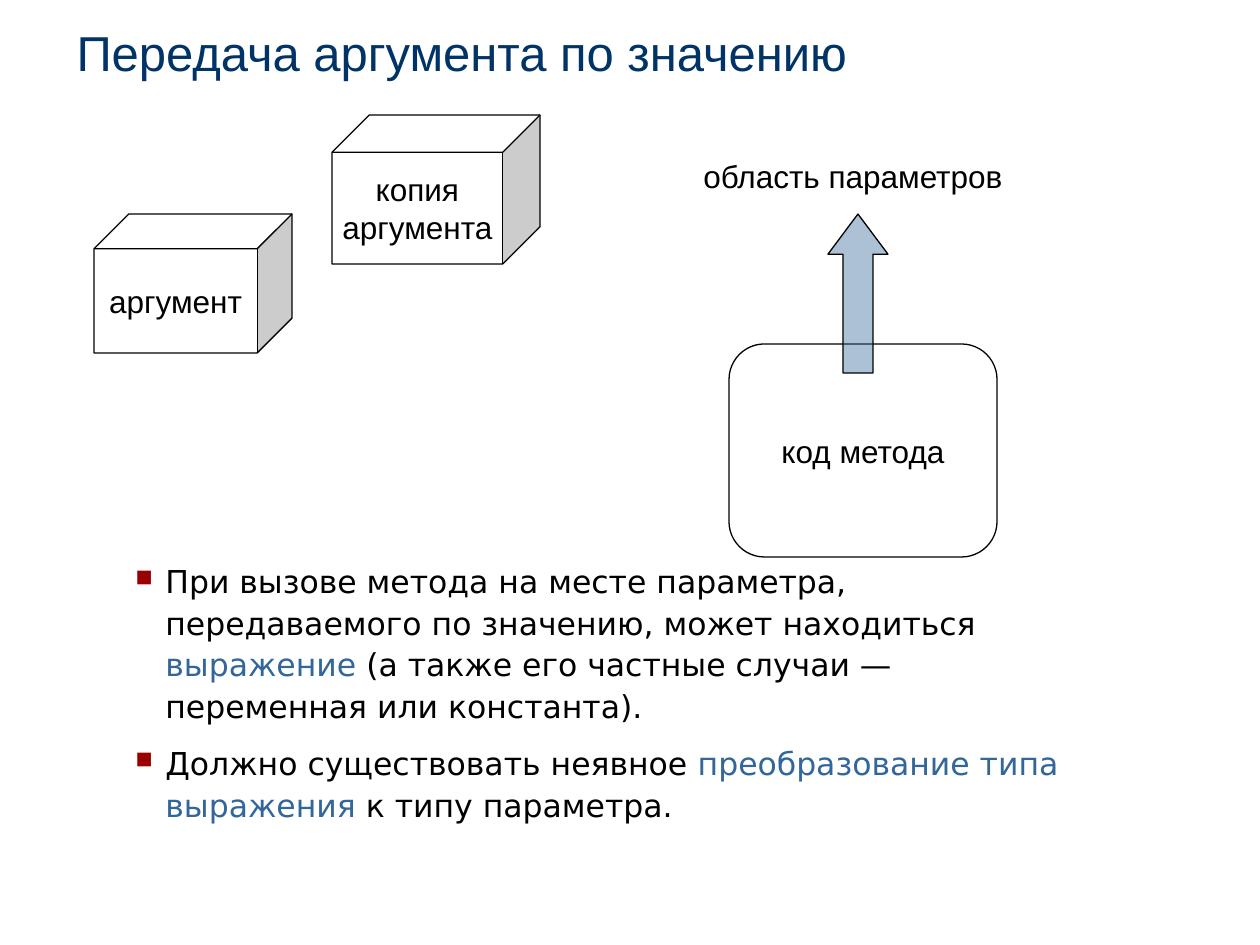
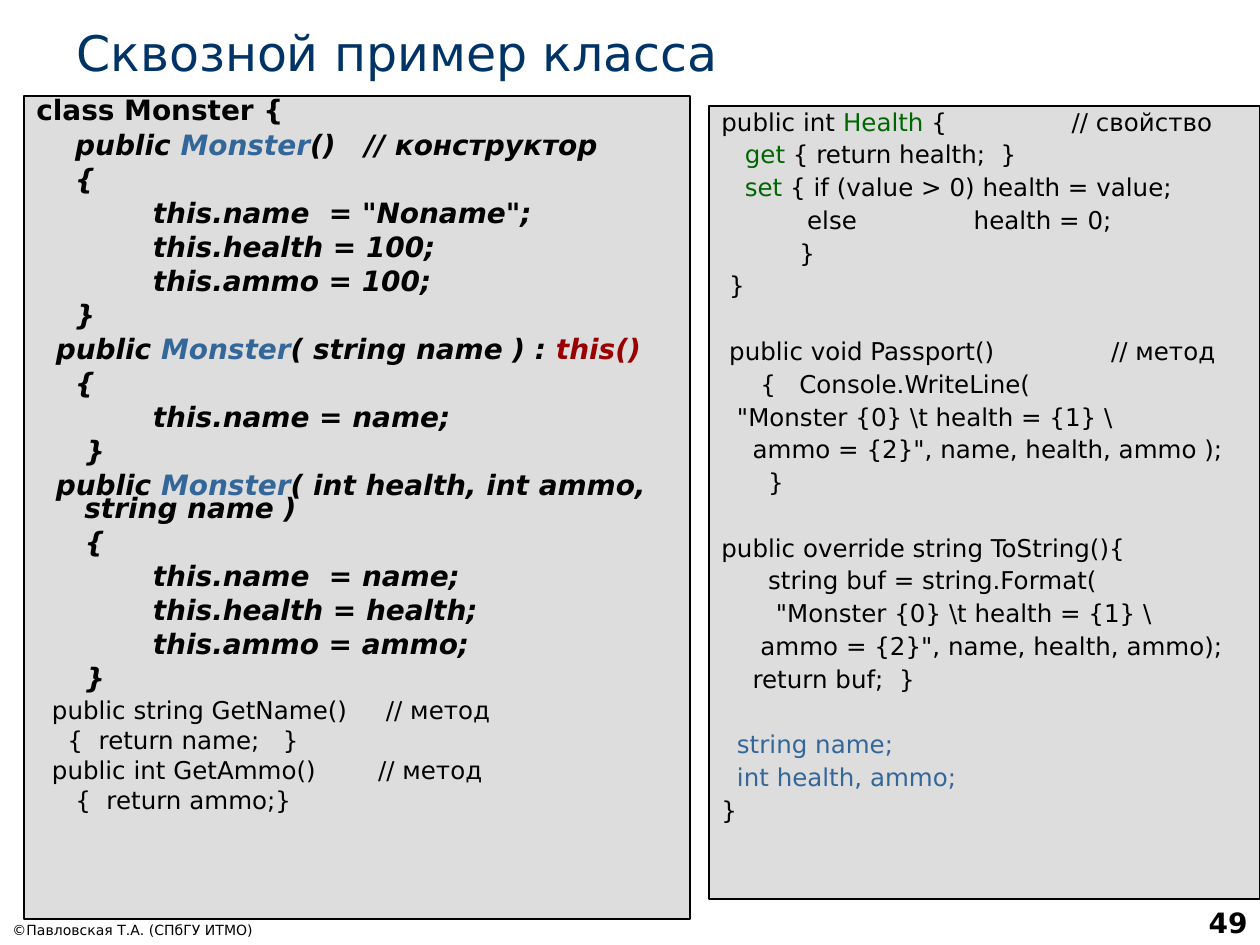
from lxml.etree import SubElement
from pptx import Presentation
from pptx.dml.color import RGBColor
from pptx.enum.shapes import MSO_SHAPE
from pptx.enum.text import MSO_ANCHOR, MSO_AUTO_SIZE, PP_ALIGN
from pptx.oxml.ns import qn
from pptx.util import Emu, Pt

PX_PER_INCH = 126
BLACK, WHITE, GREY = "000000", "FFFFFF", "DDDDDD"
NAVY, BLUE, RED, GREEN = "003366", "336699", "9A0000", "006600"
ARIAL, DEJAVU = "Arial", "DejaVu Sans"


def px(length):
    return Emu(round(length * 914400 / PX_PER_INCH))


def rgb(code):
    return RGBColor.from_string(code)


def add_bullet(paragraph):
    props = paragraph._p.get_or_add_pPr()
    tint = SubElement(props, qn("a:buClr"))
    SubElement(tint, qn("a:srgbClr"), val=RED)
    SubElement(props, qn("a:buSzPct"), val="75000")
    SubElement(props, qn("a:buChar"), char="■")


def write(frame, lines, size=18, font=DEJAVU, color=BLACK, bold=False, italic=False,
          align=PP_ALIGN.LEFT, spacing=1.0, before=0, after=0, lead=None,
          hanging=0, bullet=False):
    for index, line in enumerate(lines):
        first = len(frame.paragraphs) == 1 and not frame.paragraphs[0].runs
        paragraph = frame.paragraphs[0] if first else frame.add_paragraph()
        paragraph.alignment = align
        paragraph.line_spacing = spacing
        gap = lead if lead and index == 0 else before
        paragraph.space_before = Pt(0 if first else gap)
        paragraph.space_after = Pt(after)
        if hanging:
            props = paragraph._p.get_or_add_pPr()
            props.set("marL", str(px(hanging)))
            props.set("indent", str(-px(hanging)))
        if bullet:
            add_bullet(paragraph)
        for part in [line] if isinstance(line, str) else line:
            words, tint = (part, color) if isinstance(part, str) else part
            run = paragraph.add_run()
            run.text = words
            run.font.name = font
            run.font.size = Pt(size)
            run.font.bold = bold
            run.font.italic = italic
            run.font.color.rgb = rgb(tint)


class Deck:
    def __init__(self):
        self.show = Presentation()
        self.show.slide_width = px(1260)
        self.show.slide_height = px(945)
        self.slide = None

    def start(self, heading, font):
        self.slide = self.show.slides.add_slide(self.show.slide_layouts[5])
        title = self.slide.shapes.title
        title.left, title.top, title.width, title.height = map(px, (64, 16, 1181, 72))
        frame = title.text_frame
        frame.auto_size = MSO_AUTO_SIZE.NONE
        frame.vertical_anchor = MSO_ANCHOR.BOTTOM
        write(frame, [heading], size=28, font=font, color=NAVY)

    def shape(self, kind, box, fill=WHITE, line=BLACK, alpha=None):
        figure = self.slide.shapes.add_shape(kind, *map(px, box))
        figure.shadow.inherit = False
        figure.fill.solid()
        figure.fill.fore_color.rgb = rgb(fill)
        if alpha:
            tint = figure.fill._xPr.find(".//" + qn("a:srgbClr"))
            SubElement(tint, qn("a:alpha"), val=str(alpha * 1000))
        if line:
            figure.line.color.rgb = rgb(line)
            figure.line.width = Pt(0.75)
        else:
            figure.line.fill.background()
        return figure

    def label(self, kind, box, lines, line=BLACK):
        frame = self.shape(kind, box, line=line).text_frame
        frame.word_wrap = False
        frame.vertical_anchor = MSO_ANCHOR.MIDDLE
        write(frame, lines, font=ARIAL, align=PP_ALIGN.CENTER)

    def text(self, box, lines, anchor=MSO_ANCHOR.TOP, **style):
        frame = self.slide.shapes.add_textbox(*map(px, box)).text_frame
        frame.word_wrap = True
        frame.vertical_anchor = anchor
        write(frame, lines, **style)

    def footer(self, author, number):
        self.text((0, 910, 392, 35), [author], MSO_ANCHOR.BOTTOM, size=8)
        self.text((998, 882, 262, 63), [number], MSO_ANCHOR.BOTTOM,
                  size=16, bold=True, align=PP_ALIGN.RIGHT)

    def code(self, box, blocks):
        frame = self.shape(MSO_SHAPE.RECTANGLE, box, fill=GREY).text_frame
        frame.word_wrap = True
        frame.vertical_anchor = MSO_ANCHOR.TOP
        for lines, style in blocks:
            write(frame, lines, hanging=48, **style)


def argument_slide(deck):
    deck.start("Передача аргумента по значению", ARIAL)
    deck.label(MSO_SHAPE.ROUNDED_RECTANGLE, (729, 344, 268, 213), ["код метода"])
    deck.label(MSO_SHAPE.RECTANGLE, (620, 86, 466, 179), ["область параметров"], line=None)
    deck.label(MSO_SHAPE.CUBE, (94, 214, 198, 139), ["аргумент"])
    deck.label(MSO_SHAPE.CUBE, (332, 115, 208, 149), ["копия", "аргумента"])
    rules = [
        ["При вызове метода на месте параметра, передаваемого по значению, может находиться ",
         ("выражение ", BLUE),
         "(а также его частные случаи — переменная или константа)."],
        ["Должно существовать неявное ", ("преобразование типа выражения", BLUE),
         " к типу параметра."],
    ]
    deck.text((123, 552, 973, 237), rules, spacing=1.1, before=4.5, after=4.5,
              hanging=30, bullet=True)
    arrow = deck.shape(MSO_SHAPE.UP_ARROW, (828, 214, 60, 159), fill=BLUE, alpha=40)
    arrow.adjustments[0] = 0.5
    arrow.adjustments[1] = 0.67


def class_slide(deck):
    deck.start("Сквозной пример класса", DEJAVU)
    deck.footer("©Павловская Т.А. (СПбГУ ИТМО)", "49")
    name = ("Monster", BLUE)
    constructors = [
        ["    public ", name, "()   // конструктор"],
        "    {",
        '            this.name  = "Noname";',
        "            this.health = 100;",
        "            this.ammo = 100;",
        "    }",
        ["  public ", name, "( string name ) : ", ("this()", RED)],
        "    {",
        "            this.name = name;",
        "     }",
        ["  public ", name, "( int health, int ammo, string name )"],
        "     {",
        "            this.name  = name;",
        "            this.health = health;",
        "            this.ammo = ammo;",
        "     }",
    ]
    getters = [
        "  public string GetName()     // метод",
        "    {  return name;   }",
        "  public int GetAmmo()        // метод",
        "     {  return ammo;}",
    ]
    strong = dict(size=16, bold=True, spacing=0.7, before=4, after=2)
    light = dict(size=14, spacing=0.7, before=3.5, after=1.8)
    deck.code((24, 96, 666, 823), [
        (["class Monster {"], strong),
        (constructors, dict(strong, italic=True)),
        (getters, light),
    ])

    health = [
        ["public int ", ("Health", GREEN), " {                // свойство"],
        ["   ", ("get", GREEN), " { return health;  }"],
        ["   ", ("set", GREEN), " { if (value > 0) health = value;"],
        "           else               health = 0;",
        "          }",
        " }",
    ]
    passport = [
        " public void Passport()               // метод",
        "     {   Console.WriteLine(",
        r'  "Monster {0} \t health = {1} \ '.rstrip(),
        '    ammo = {2}", name, health, ammo );',
        "      }",
    ]
    to_string = [
        "public override string ToString(){",
        "      string buf = string.Format(",
        r'       "Monster {0} \t health = {1} \ '.rstrip(),
        '     ammo = {2}", name, health, ammo);',
        "    return buf;  }",
    ]
    fields = [
        [("  string name;", BLUE)],
        [("  int health, ammo;", BLUE)],
        "}",
    ]
    member = dict(light, spacing=0.8)
    spaced = dict(member, lead=22.2)
    deck.code((709, 106, 551, 793), [
        (health, member),
        (passport, spaced),
        (to_string, spaced),
        (fields, spaced),
    ])


def main():
    deck = Deck()
    argument_slide(deck)
    class_slide(deck)
    deck.show.save("out.pptx")


if __name__ == "__main__":
    main()
